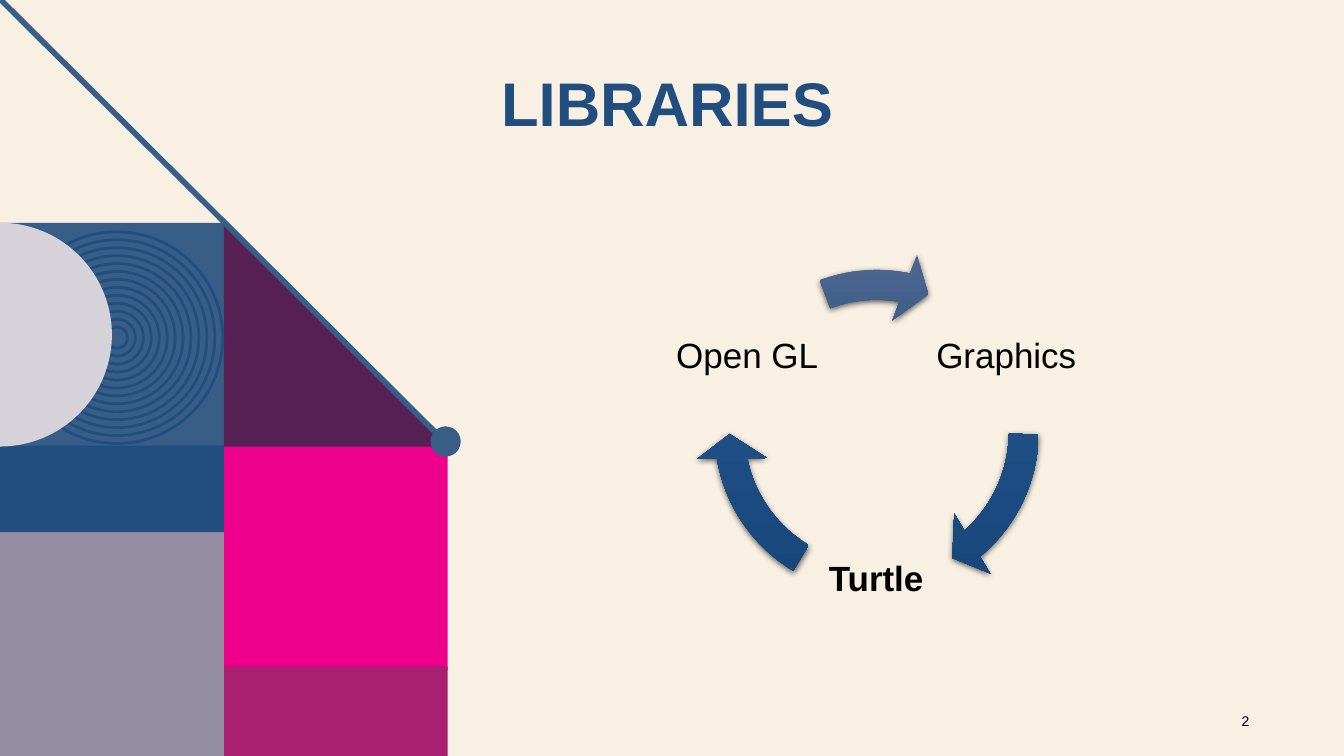
"""Build the Libraries slide: a geometric side panel and a three-step cycle."""
from dataclasses import dataclass
from math import cos, pi, sin

from lxml.etree import SubElement
from pptx import Presentation
from pptx.dml.color import RGBColor
from pptx.enum.shapes import MSO_CONNECTOR, MSO_SHAPE
from pptx.enum.text import MSO_ANCHOR, PP_ALIGN
from pptx.oxml import parse_xml
from pptx.oxml.ns import nsdecls, qn
from pptx.util import Inches, Pt

TITLE = "LIBRARIES"
PAGE_NUMBER = "2"
CYCLE = [
    {"label": "Graphics", "at": (9.22, 2.78), "bold": False, "sweep": (29.67, 0.5)},
    {"label": "Turtle", "at": (7.93, 5), "bold": True, "sweep": (101.75, 72.58)},
    {"label": "Open GL", "at": (6.65, 2.78), "bold": False, "sweep": (168.59, 149.65)},
]


@dataclass(frozen=True)
class Theme:
    """Colours, font and type sizes of the slide."""

    cream: str = "F8F0E3"
    steel: str = "385E88"
    navy: str = "224E7F"
    plum: str = "582156"
    pink: str = "EC008C"
    berry: str = "AA2070"
    mauve: str = "958EA2"
    mist: str = "D5D2DA"
    black: str = "000000"
    gradient: tuple = ((0, "50678F"), (50, "1D4E84"), (100, "164579"))
    font: str = "Arial"
    title_size: int = 44
    label_size: int = 25
    number_size: int = 10


THEME = Theme()
TILE = 2.22
TILES = [
    ((0, 2.21, TILE, TILE), THEME.steel),
    ((TILE, 4.43, TILE, TILE), THEME.pink),
    ((TILE, 6.61, TILE, 0.89), THEME.berry),
    ((0, 5.28, TILE, TILE), THEME.mauve),
]
BAND = (0, 4.42, TILE, 0.86)
TRIANGLE = [(TILE, TILE), (2 * TILE, 2 * TILE), (TILE, 2 * TILE)]
HALF_DISC = {"centre": 3.32, "radius": 1.11, "steps": 90}
RINGS = {"centre": (1.16, 3.35), "largest": 2.1, "smallest": 0.21, "count": 13}
DIAGONAL = ((0.01, 0), (4.44, 4.41))
KNOB = (4.27, 4.23, 0.3, 0.3)
ARROW_BOX = (6.89, 2.48, 3.61, 3.61)
LABEL_SIDE = 1.52


def apply(target, values):
    """Set each named attribute of a target."""
    for name, value in values.items():
        setattr(target, name, value)


def inches(values):
    """Turn plain numbers into lengths."""
    return [Inches(value) for value in values]


def paint(shape, colour):
    """Give a shape a flat fill without line or shadow."""
    shape.shadow.inherit = False
    shape.line.fill.background()
    shape.fill.solid()
    shape.fill.fore_color.rgb = RGBColor.from_string(colour)


def add_flat(page, kind, frame, colour):
    """Add a flat preset shape."""
    paint(page.shapes.add_shape(kind, *inches(frame)), colour)


def add_outline(page, points, colour):
    """Add a flat closed polygon."""
    start, *rest = [tuple(inches(point)) for point in points]
    builder = page.shapes.build_freeform(*start, scale=1.0)
    builder.add_line_segments(rest, close=True)
    paint(builder.convert_to_shape(), colour)


def add_rings(page):
    """Add evenly spaced concentric rings."""
    step = (RINGS["largest"] - RINGS["smallest"]) / (RINGS["count"] - 1)
    across, down = RINGS["centre"]
    for index in range(RINGS["count"]):
        size = RINGS["largest"] - index * step
        frame = (across - size / 2, down - size / 2, size, size)
        ring = page.shapes.add_shape(MSO_SHAPE.OVAL, *inches(frame))
        ring.shadow.inherit = False
        ring.fill.background()
        ring.line.color.rgb = RGBColor.from_string(THEME.navy)
        ring.line.width = Pt(2)


def add_panel(page):
    """Add the decorative panel on the left."""
    first, *others = TILES
    add_flat(page, MSO_SHAPE.RECTANGLE, *first)
    add_outline(page, TRIANGLE, THEME.plum)
    for frame, colour in others:
        add_flat(page, MSO_SHAPE.RECTANGLE, frame, colour)
    add_rings(page)
    add_flat(page, MSO_SHAPE.RECTANGLE, BAND, THEME.navy)
    radius, steps = HALF_DISC["radius"], HALF_DISC["steps"]
    angles = [pi * index / steps - pi / 2 for index in range(steps + 1)]
    arc = [(radius * cos(angle), HALF_DISC["centre"] + radius * sin(angle)) for angle in angles]
    add_outline(page, arc, THEME.mist)
    start, end = DIAGONAL
    line = page.shapes.add_connector(MSO_CONNECTOR.STRAIGHT, *inches(start + end))
    line.line.color.rgb = RGBColor.from_string(THEME.steel)
    line.line.width = Pt(4)
    SubElement(line._element.spPr, qn("a:effectLst"))
    add_flat(page, MSO_SHAPE.OVAL, KNOB, THEME.steel)


def write(box, text, size, colour, bold=False, inset=None, **layout):
    """Fill a box with one formatted paragraph."""
    frame = box.text_frame
    apply(frame, {"word_wrap": True, "vertical_anchor": layout.pop("anchor")})
    if inset is not None:
        sides = ("margin_left", "margin_top", "margin_right", "margin_bottom")
        apply(frame, dict.fromkeys(sides, Inches(inset)))
    para = frame.paragraphs[0]
    apply(para, layout)
    span = para.add_run()
    span.text = text
    apply(span.font, {"name": THEME.font, "size": Pt(size), "bold": bold})
    span.font.color.rgb = RGBColor.from_string(colour)


def add_arrow(page, sweep):
    """Add one shaded arc arrow of the cycle."""
    arrow = page.shapes.add_shape(MSO_SHAPE.CIRCULAR_ARROW, *inches(ARROW_BOX))
    for index, value in enumerate((0.082, 5.755, *sweep, 0.096)):
        arrow.adjustments[index] = value
    arrow.shadow.inherit = False
    arrow.line.fill.background()
    stops = "".join(
        f'<a:gs pos="{place * 1000}"><a:srgbClr val="{colour}"/></a:gs>'
        for place, colour in THEME.gradient
    )
    properties = arrow._element.spPr
    properties.find(qn("a:ln")).addprevious(parse_xml(
        f'<a:gradFill {nsdecls("a")}><a:gsLst>{stops}</a:gsLst>'
        '<a:lin ang="5400000" scaled="0"/></a:gradFill>'
    ))
    properties.find(qn("a:effectLst")).append(parse_xml(
        f'<a:outerShdw {nsdecls("a")} blurRad="{Pt(4.5)}" dist="{Pt(1.5)}" dir="5400000" '
        f'algn="ctr" rotWithShape="0"><a:srgbClr val="{THEME.black}">'
        '<a:alpha val="63000"/></a:srgbClr></a:outerShdw>'
    ))


def add_cycle(page):
    """Add the labels and arrows of the cycle."""
    for step in CYCLE:
        frame = (*step["at"], LABEL_SIDE, LABEL_SIDE)
        box = page.shapes.add_textbox(*inches(frame))
        write(box, step["label"], THEME.label_size, THEME.black, step["bold"], 0.03,
              anchor=MSO_ANCHOR.MIDDLE, alignment=PP_ALIGN.CENTER, line_spacing=0.9)
        add_arrow(page, step["sweep"])


def main():
    """Create and save the deck."""
    deck = Presentation()
    apply(deck, {"slide_width": Inches(13.33), "slide_height": Inches(7.5)})
    page = deck.slides.add_slide(deck.slide_layouts[5])
    page.background.fill.solid()
    page.background.fill.fore_color.rgb = RGBColor.from_string(THEME.cream)
    add_panel(page)
    title = page.shapes.title
    apply(title, dict(zip(("left", "top", "width", "height"), inches((4.87, 0.17, 3.59, 1.27)))))
    write(title, TITLE, THEME.title_size, THEME.navy, True,
          anchor=MSO_ANCHOR.BOTTOM, alignment=PP_ALIGN.LEFT, line_spacing=0.9)
    number = page.shapes.add_textbox(*inches((11.99, 6.95, 0.5, 0.4)))
    write(number, PAGE_NUMBER, THEME.number_size, THEME.black,
          anchor=MSO_ANCHOR.MIDDLE, alignment=PP_ALIGN.RIGHT)
    add_cycle(page)
    deck.save("out.pptx")


if __name__ == "__main__":
    main()
